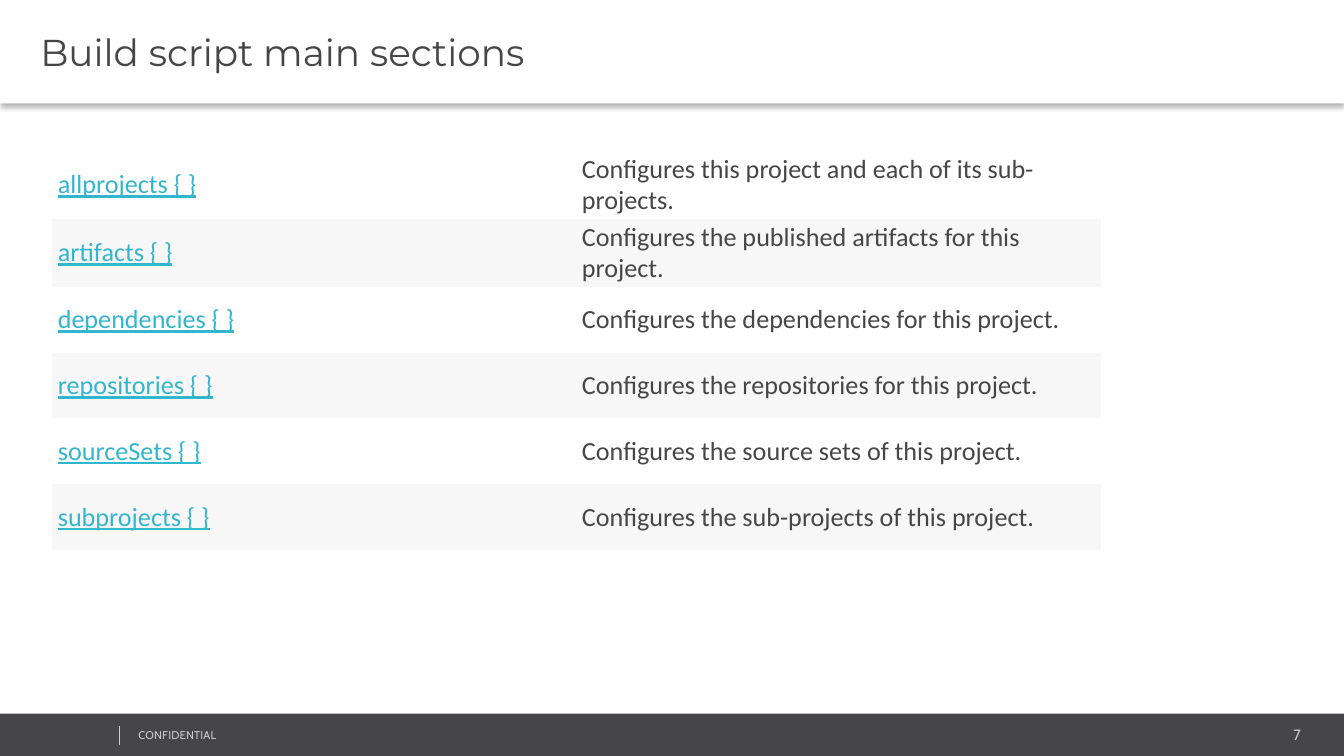
"""Build the slide listing the main sections of a build script."""
from lxml import etree
from pptx import Presentation
from pptx.dml.color import RGBColor
from pptx.enum.shapes import MSO_CONNECTOR, MSO_SHAPE
from pptx.enum.text import MSO_ANCHOR, PP_ALIGN
from pptx.oxml.ns import qn
from pptx.util import Inches, Pt

RECTANGLE, STRAIGHT = MSO_SHAPE.RECTANGLE, MSO_CONNECTOR.STRAIGHT
MIDDLE, TOP = MSO_ANCHOR.MIDDLE, MSO_ANCHOR.TOP
LEFT, RIGHT = PP_ALIGN.LEFT, PP_ALIGN.RIGHT
DARK = RGBColor(0x46, 0x45, 0x47)
LIGHT = RGBColor(0xCC, 0xCC, 0xCC)
WHITE = RGBColor(0xFF, 0xFF, 0xFF)
TEAL = RGBColor(0x32, 0xB6, 0xCE)
BAND = RGBColor(0xF7, 0xF7, 0xF7)
NO_GRID_STYLE = "{2D5ABB26-0587-4C30-8999-92F81FD0307C}"

TITLE = "Build script main sections"
SECTIONS = [
    ("allprojects { }", "Configures this project and each of its sub-projects."),
    ("artifacts { }", "Configures the published artifacts for this project."),
    ("dependencies { }", "Configures the dependencies for this project."),
    ("repositories { }", "Configures the repositories for this project."),
    ("sourceSets { }", "Configures the source sets of this project."),
    ("subprojects { }", "Configures the sub-projects of this project."),
]
FOOTER_TEXTS = [
    ("7", (8.12, 5.36, 1.63, 0.21), 8, RIGHT, 0),
    ("CONFIDENTIAL", (0.96, 5.38, 2.53, 0.18), 6, LEFT, 10),
]
FIRST_ROW, ROW, COLUMN = 0.38, 0.49, 3.9


def add_run(p, text, font, size, color):
    r = p.add_run()
    r.text = text
    r.font.name, r.font.size = font, Pt(size)
    r.font.color.rgb = color
    return r


def set_frame(tf, anchor, left=0.07):
    tf.word_wrap = True
    tf.vertical_anchor = anchor
    tf.margin_left, tf.margin_right = Inches(left), Inches(0.07)
    tf.margin_top = tf.margin_bottom = Inches(0.04)
    return tf.paragraphs[0]


def add_bar(s, box, color):
    sp = s.shapes.add_shape(RECTANGLE, *map(Inches, box))
    sp.fill.solid()
    sp.fill.fore_color.rgb = color
    sp.line.fill.background()
    sp.shadow.inherit = False
    return sp


def add_footer(s):
    add_bar(s, (0, 5.31, 10.01, 0.33), DARK)
    for text, box, size, align, spacing in FOOTER_TEXTS:
        p = set_frame(s.shapes.add_textbox(*map(Inches, box)).text_frame, TOP)
        p.alignment = align
        r = add_run(p, text, "Cabin", size, LIGHT)
        if spacing:
            r.font._element.set("spc", str(spacing))
    divider = s.shapes.add_connector(STRAIGHT, *map(Inches, (0.89, 5.4, 0.89, 5.54)))
    divider.line.color.rgb = LIGHT
    divider.line.width = Pt(0.25)
    etree.SubElement(divider._element.spPr, qn("a:effectLst"))


def add_title(s):
    sp = add_bar(s, (0, 0, 10, 0.77), WHITE)
    effects = sp._element.spPr.find(qn("a:effectLst"))
    shadow = etree.SubElement(effects, qn("a:outerShdw"), blurRad=str(Pt(3.1)),
                              dist=str(Pt(2)), dir="5400000", rotWithShape="0")
    black = etree.SubElement(shadow, qn("a:srgbClr"), val="000000")
    etree.SubElement(black, qn("a:alpha"), val="30000")
    p = set_frame(sp.text_frame, MIDDLE, 0.3)
    p.alignment = LEFT
    add_run(p, TITLE, "Montserrat", 20, DARK)


def add_sections(s):
    heights = [FIRST_ROW] + [ROW] * (len(SECTIONS) - 1)
    box = (0.39, 1.12, 2 * COLUMN, sum(heights))
    table = s.shapes.add_table(len(SECTIONS), 2, *map(Inches, box)).table
    table.first_row = table.horz_banding = False
    table._tbl.tblPr.find(qn("a:tableStyleId")).text = NO_GRID_STYLE
    for column in table.columns:
        column.width = Inches(COLUMN)
    for i, (texts, height) in enumerate(zip(SECTIONS, heights)):
        table.rows[i].height = Inches(height)
        for j, (text, color) in enumerate(zip(texts, (TEAL, DARK))):
            cell = table.cell(i, j)
            cell.vertical_anchor = MIDDLE
            cell.margin_left = cell.margin_right = Inches(0.04)
            cell.margin_top = cell.margin_bottom = Inches(0.02)
            if i % 2:
                cell.fill.solid()
                cell.fill.fore_color.rgb = BAND
            else:
                cell.fill.background()
            r = add_run(cell.text_frame.paragraphs[0], text, "Calibri", 14, color)
            r.font.underline = j == 0


prs = Presentation()
prs.slide_width = Inches(10)
prs.slide_height = prs.slide_width * 9 // 16
s = prs.slides.add_slide(prs.slide_layouts[6])
add_footer(s)
add_title(s)
add_sections(s)
prs.save("out.pptx")
